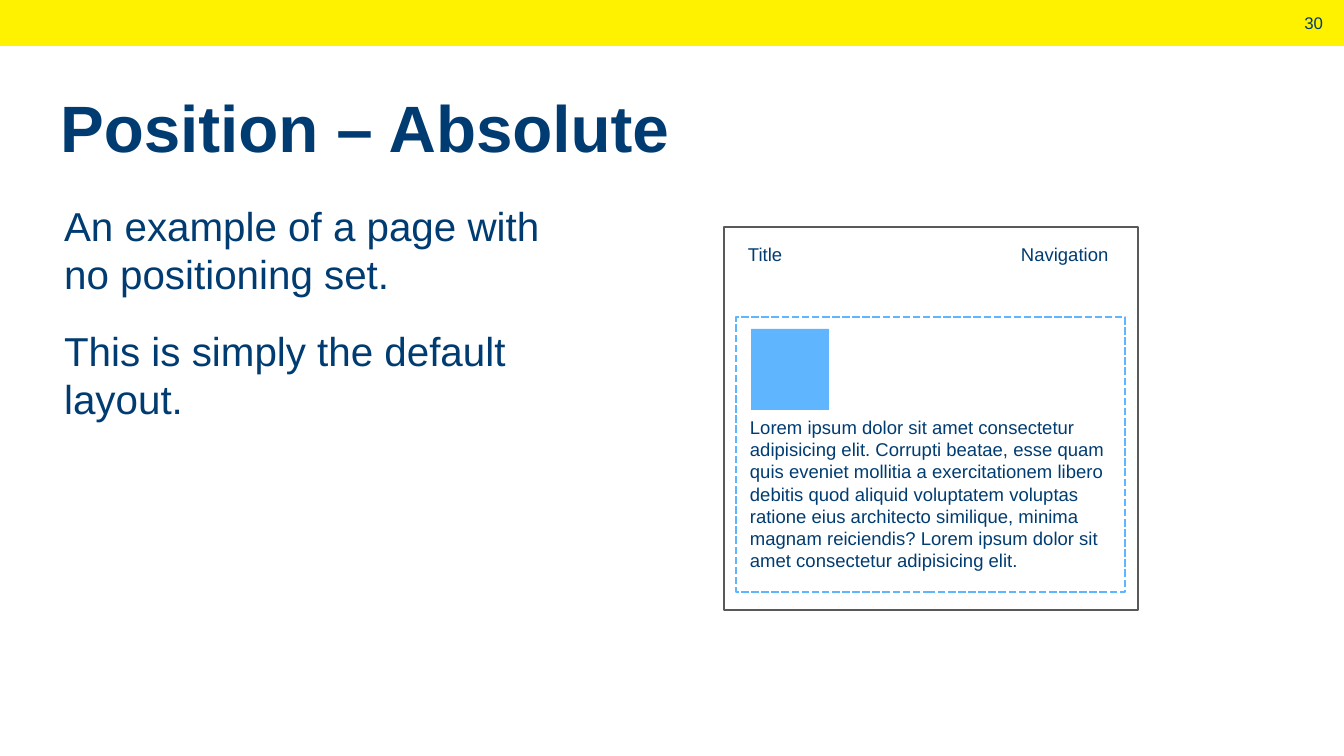
import pptx
import pptx.util
import pptx.dml.color
import pptx.enum.dml
import pptx.enum.shapes
import pptx.enum.text
import lxml.etree

COLOURS = {"navy": "003C71", "yellow": "FFF200", "sky": "60B5FF", "grey": "595959"}
FONT = "Arial"
PIXELS_PER_INCH = 121
PAGE_SIZE = (1344, 756)

TITLE = ("Position – Absolute", (48, 83, 1119, 86))
BODY = (
    ["An example of a page with no positioning set.",
     "This is simply the default layout."],
    (52, 195, 553, 450),
)
LOREM = (
    "Lorem ipsum dolor sit amet consectetur adipisicing elit. Corrupti beatae, "
    "esse quam quis eveniet mollitia a exercitationem libero debitis quod aliquid "
    "voluptatem voluptas ratione eius architecto similique, minima magnam "
    "reiciendis? Lorem ipsum dolor sit amet consectetur adipisicing elit."
)
DASH = pptx.enum.dml.MSO_LINE.SQUARE_DOT

# place, fill, line colour, line width in points, dash
RECTANGLES = [
    ((0, -1, 1344, 47), "yellow", None, None, None),
    ((724, 227, 414, 383), None, "grey", 1, None),
    ((751, 329, 78, 81), "sky", None, None, None),
    ((736, 317, 389, 275), None, "sky", 1.5, DASH),
]
# text, place, size in points, alignment, anchor
ALIGN = pptx.enum.text.PP_ALIGN
ANCHOR = pptx.enum.text.MSO_ANCHOR
LABELS = [
    ("30", (1287, 7, 48, 32), 10, ALIGN.RIGHT, ANCHOR.MIDDLE),
    (LOREM, (738, 410, 388, 170), 11, ALIGN.LEFT, ANCHOR.TOP),
    ("Title", (736, 237, 98, 35), 11, ALIGN.LEFT, ANCHOR.TOP),
    ("Navigation", (1009, 237, 122, 35), 11, ALIGN.LEFT, ANCHOR.TOP),
]


def px(length):
    return pptx.util.Emu(round(length * 914400 / PIXELS_PER_INCH))


def colour(name):
    return pptx.dml.color.RGBColor.from_string(COLOURS[name])


def set_all(target, values):
    for name, value in values.items():
        setattr(target, name, value)


def move(shape, place):
    set_all(shape, dict(zip(("left", "top", "width", "height"), map(px, place))))


def write(shape, lines, size, bold=False, align=ALIGN.LEFT, anchor=ANCHOR.TOP, gap=None):
    """Fill a text shape; gap is (space before, space after) in points."""
    frame = shape.text_frame
    set_all(frame, {"word_wrap": True, "vertical_anchor": anchor,
                    "auto_size": pptx.enum.text.MSO_AUTO_SIZE.NONE})
    frame.text = "\n".join(lines)
    for index, para in enumerate(frame.paragraphs):
        para.alignment = align
        before, after = gap or (0, 0)
        para.space_before = pptx.util.Pt(before if index else 0)
        para.space_after = pptx.util.Pt(after)
        properties = para._p.get_or_add_pPr()
        set_all_xml = {"marL": "0", "indent": "0"}
        for name, value in set_all_xml.items():
            properties.set(name, value)
        lxml.etree.SubElement(properties, pptx.oxml.ns.qn("a:buNone"))
        set_all(para.font, {"name": FONT, "size": pptx.util.Pt(size), "bold": bold})
        para.font.color.rgb = colour("navy")


def add_rectangle(page, place, fill, line, width, dash):
    box = page.shapes.add_shape(
        pptx.enum.shapes.MSO_SHAPE.RECTANGLE, *map(px, place))
    box.shadow.inherit = False
    if fill:
        box.fill.solid()
        box.fill.fore_color.rgb = colour(fill)
    else:
        box.fill.background()
    if line:
        box.line.color.rgb = colour(line)
        set_all(box.line, {"width": pptx.util.Pt(width), "dash_style": dash})
    else:
        box.line.fill.background()


def main():
    deck = pptx.Presentation()
    deck.slide_width, deck.slide_height = map(px, PAGE_SIZE)
    page = deck.slides.add_slide(deck.slide_layouts[1])

    title, body = page.placeholders
    text, place = TITLE
    move(title, place)
    write(title, [text], 39, bold=True, anchor=ANCHOR.MIDDLE)
    lines, place = BODY
    move(body, place)
    write(body, lines, 24, gap=(4.8, 12))

    for rectangle in RECTANGLES:
        add_rectangle(page, *rectangle)
    for text, place, size, align, anchor in LABELS:
        box = page.shapes.add_textbox(*map(px, place))
        write(box, [text], size, align=align, anchor=anchor)

    deck.save("out.pptx")


if __name__ == "__main__":
    main()
